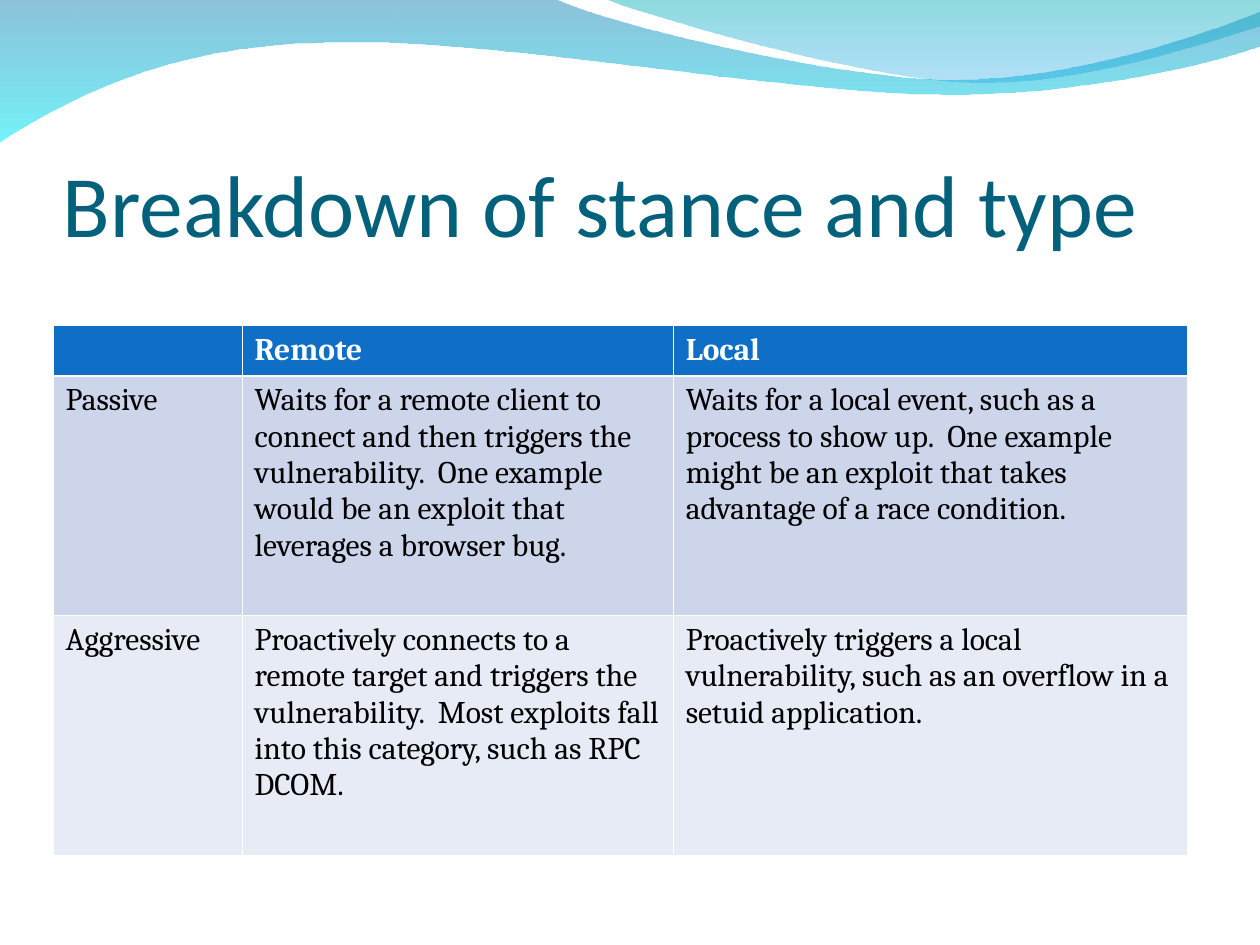
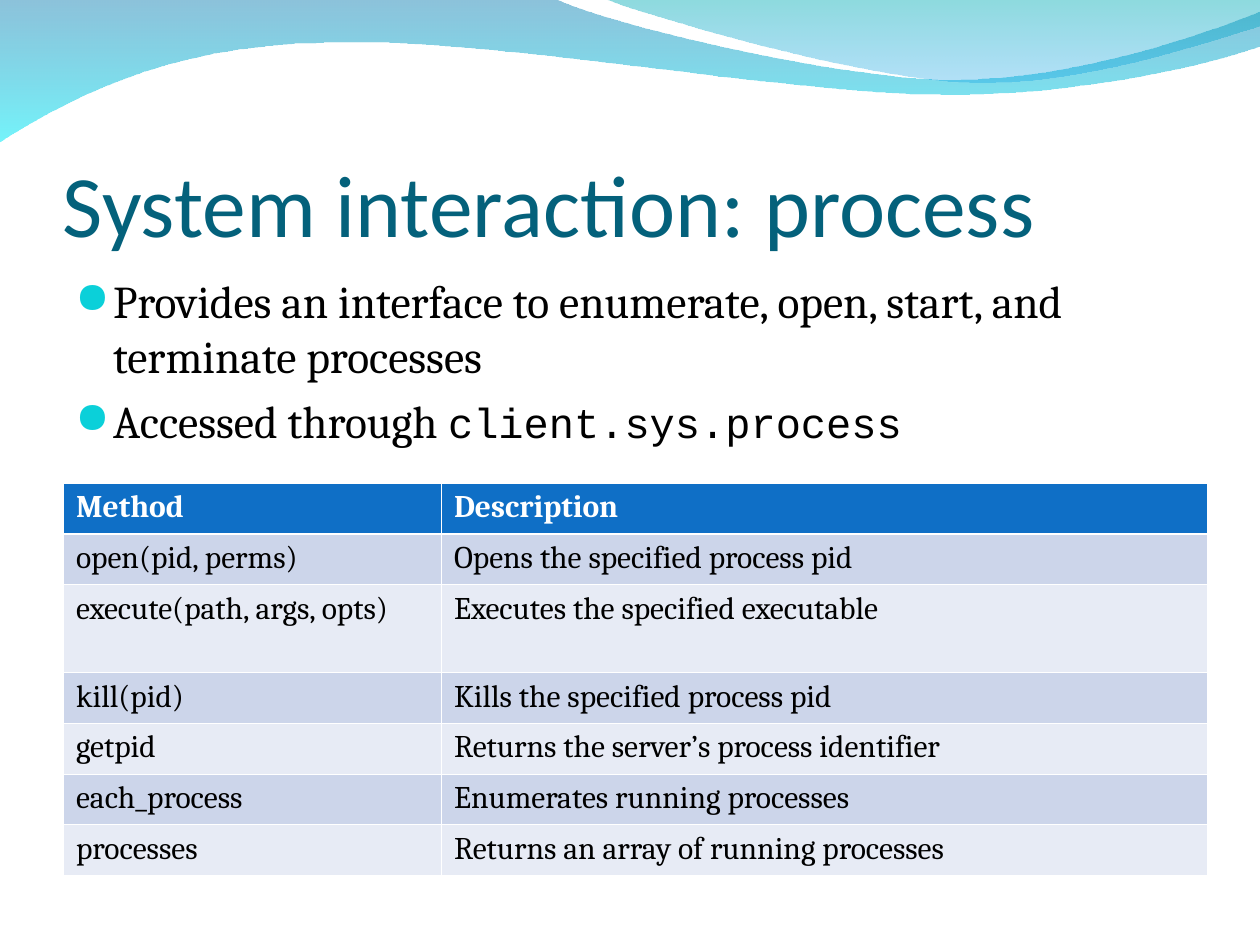
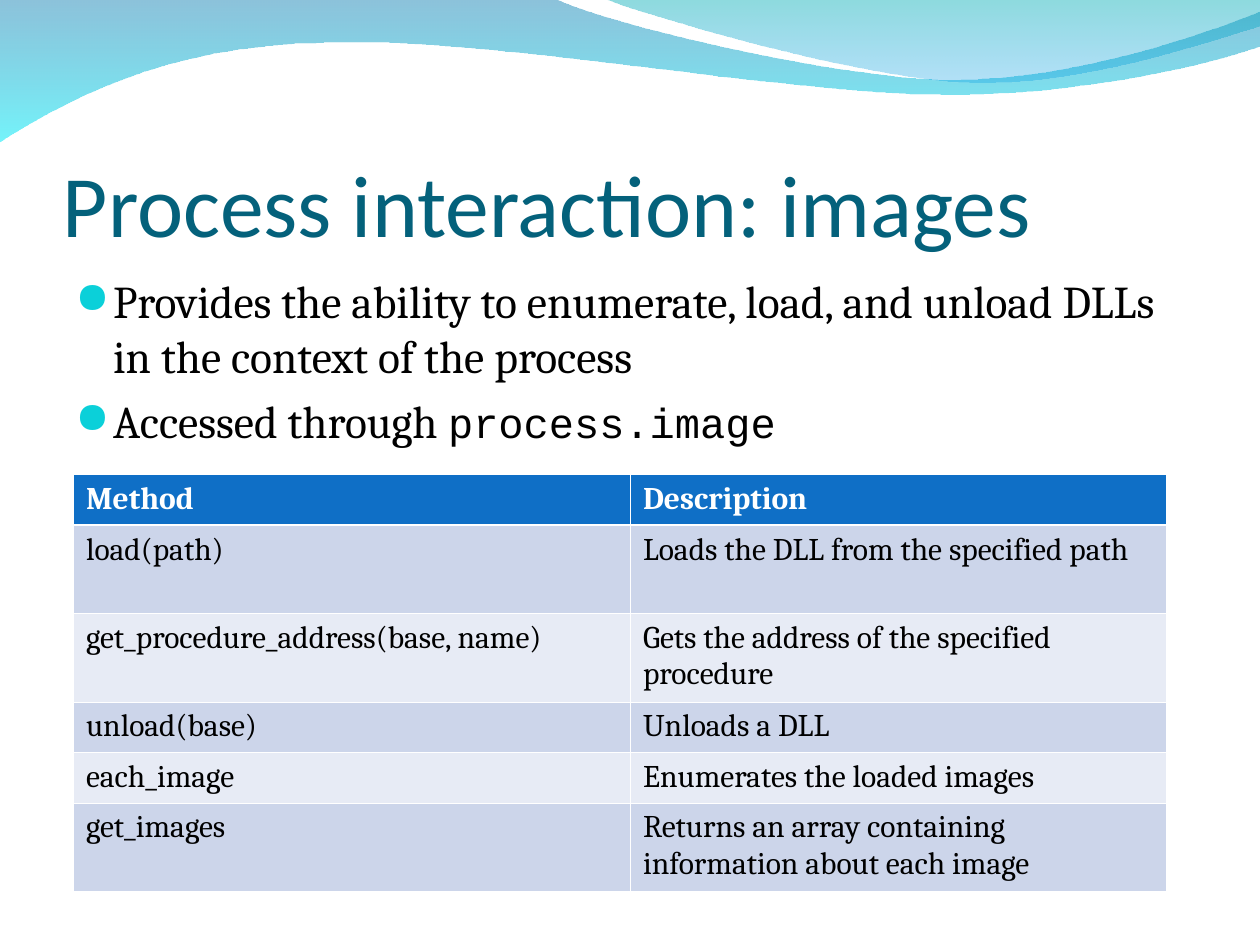
import pptx
import pptx.util
import pptx.dml.color
import pptx.enum.text
import pptx.oxml.ns
import lxml.etree

Cm = pptx.util.Cm
Pt = pptx.util.Pt
qn = pptx.oxml.ns.qn

COLORS = {
    "title": "04617B", "text": "000000", "white": "FFFFFF", "bullet": "0BD0D9",
    "header": "0F6FC6", "odd_row": "CCD5EA", "even_row": "E7EBF5",
    "wave_blue": "0079AF", "wave_cyan": "00EBF8",
    "crest_teal": "00ADB6", "crest_blue": "009BE5",
}
TITLE_FONT, BODY_FONT, CODE_FONT = "Calibri", "Cambria", "Courier New"
CURVE_STEPS = 16
THIN, THICK = Pt(0.45), Pt(1.47)
SHORT, TALL = 1.02, 1.78

WAVES = [
    {
        "start": (0, -0.03),
        "segments": [
            [(11.18, -0.03)],
            [(12.09, 0.43), (16.87, 1.6), (19.25, 1.6)],
            [(21.67, 1.6), (24.33, 0.66), (25.4, 0.23)],
            [(25.43, 0.91)],
            [(24.97, 1.12), (22.1, 1.93), (18.95, 1.9)],
            [(15.8, 1.9), (9.7, 0.71), (6.53, 0.86)],
            [(3.28, 0.89), (1.17, 2.11), (-0.03, 2.87)],
        ],
        "stops": [("wave_blue", 45), ("wave_cyan", 55)],
    },
    {
        "start": (12.17, -0.03),
        "segments": [
            [(12.93, 0.28), (17.32, 1.57), (19.53, 1.65)],
            [(21.74, 1.75), (24.41, 0.81), (25.4, 0.53)],
            [(25.4, 0)],
        ],
        "stops": [("crest_teal", 45), ("crest_blue", 30)],
    },
]

PAGES = [
    {
        "title": "Breakdown of stance and type",
        "bullets": [],
        "corner": (1.07, 6.56),
        "columns": [3.81, 8.69, 10.36],
        "heights": [SHORT, 4.83, 4.83],
        "rows": [
            ["", "Remote", "Local"],
            ["Passive",
             "Waits for a remote client to connect and then triggers the vulnerability.  "
             "One example would be an exploit that leverages a browser bug.",
             "Waits for a local event, such as a process to show up.  "
             "One example might be an exploit that takes advantage of a race condition."],
            ["Aggressive",
             "Proactively connects to a remote target and triggers the vulnerability.  "
             "Most exploits fall into this category, such as RPC DCOM.",
             "Proactively triggers a local vulnerability, such as an overflow in a setuid application."],
        ],
    },
    {
        "title": "System interaction: process",
        "bullets": [
            ("Provides an interface to enumerate, open, start, and terminate processes", ""),
            ("Accessed through ", "client.sys.process"),
        ],
        "corner": (1.28, 9.74),
        "columns": [7.62, 15.44],
        "heights": [SHORT, SHORT, TALL, SHORT, SHORT, SHORT, SHORT],
        "rows": [
            ["Method", "Description"],
            ["open(pid, perms)", "Opens the specified process pid"],
            ["execute(path, args, opts)", "Executes the specified executable"],
            ["kill(pid)", "Kills the specified process pid"],
            ["getpid", "Returns the server’s process identifier"],
            ["each_process", "Enumerates running processes"],
            ["processes", "Returns an array of running processes"],
        ],
    },
    {
        "title": "Process interaction: images",
        "bullets": [
            ("Provides the ability to enumerate, load, and unload DLLs in the context of the process", ""),
            ("Accessed through ", "process.image"),
        ],
        "corner": (1.48, 9.57),
        "columns": [11.23, 10.8],
        "heights": [SHORT, TALL, TALL, SHORT, SHORT, TALL],
        "rows": [
            ["Method", "Description"],
            ["load(path)", "Loads the DLL from the specified path"],
            ["get_procedure_address(base, name)", "Gets the address of the specified procedure"],
            ["unload(base)", "Unloads a DLL"],
            ["each_image", "Enumerates the loaded images"],
            ["get_images", "Returns an array containing information about each image"],
        ],
    },
]


def add_span(para, text, font, size, color, bold=False):
    span = para.add_run()
    span.text = text
    span.font.name = font
    span.font.size = Pt(size)
    span.font.bold = bold
    span.font.color.rgb = pptx.dml.color.RGBColor.from_string(COLORS[color])


def trace_wave(start, segments):
    points = [start]
    for segment in segments:
        if len(segment) == 1:
            points += segment
            continue
        corners = [points[-1]] + segment
        for step in range(1, CURVE_STEPS + 1):
            t = step / CURVE_STEPS
            weights = [(1 - t) ** 3, 3 * t * (1 - t) ** 2, 3 * t ** 2 * (1 - t), t ** 3]
            points.append(tuple(
                sum(weight * corner[axis] for weight, corner in zip(weights, corners))
                for axis in (0, 1)
            ))
    return [(Cm(x), Cm(y)) for x, y in points]


deck = pptx.Presentation()
deck.slide_width = Cm(25.4)
deck.slide_height = Cm(19.05)

for page in PAGES:
    slide = deck.slides.add_slide(deck.slide_layouts[6])

    for wave in WAVES:
        points = trace_wave(wave["start"], wave["segments"])
        builder = slide.shapes.build_freeform(*points[0])
        builder.add_line_segments(points[1:], close=True)
        shape = builder.convert_to_shape()
        shape.shadow.inherit = False
        shape.line.fill.background()
        shape.fill.gradient()
        shape.fill.gradient_angle = 270
        for stop, position, (color, opacity) in zip(shape.fill.gradient_stops, (0, 1), wave["stops"]):
            stop.position = position
            stop.color.rgb = pptx.dml.color.RGBColor.from_string(COLORS[color])
        tints = shape.fill._xPr.iter(qn("a:srgbClr"))
        for tint, (color, opacity) in zip(list(tints), wave["stops"]):
            lxml.etree.SubElement(tint, qn("a:alpha"), val=str(opacity * 1000))

    box = slide.shapes.add_textbox(Cm(1.27), Cm(1.96), Cm(22.86), Cm(3.18))
    frame = box.text_frame
    frame.word_wrap = True
    frame.vertical_anchor = pptx.enum.text.MSO_ANCHOR.BOTTOM
    frame.margin_left = frame.margin_right = frame.margin_bottom = 0
    add_span(frame.paragraphs[0], page["title"], TITLE_FONT, 50, "title")

    if page["bullets"]:
        box = slide.shapes.add_textbox(Cm(1.27), Cm(5.38), Cm(22.86), Cm(12.19))
        frame = box.text_frame
        frame.word_wrap = True
        for index, (words, code) in enumerate(page["bullets"]):
            para = frame.add_paragraph() if index else frame.paragraphs[0]
            layout = para._p.get_or_add_pPr()
            layout.set("marL", str(Cm(0.76)))
            layout.set("indent", str(-Cm(0.76)))
            tint = lxml.etree.SubElement(layout, qn("a:buClr"))
            lxml.etree.SubElement(tint, qn("a:srgbClr"), val=COLORS["bullet"])
            lxml.etree.SubElement(layout, qn("a:buSzPct"), val="95000")
            lxml.etree.SubElement(layout, qn("a:buChar"), char="●")
            if index:
                para.space_before = Pt(6)
            add_span(para, words, BODY_FONT, 26, "text")
            if code:
                add_span(para, code, CODE_FONT, 24, "text")

    left, top = page["corner"]
    columns, heights, rows = page["columns"], page["heights"], page["rows"]
    table = slide.shapes.add_table(
        len(rows), len(columns), Cm(left), Cm(top), Cm(sum(columns)), Cm(sum(heights))
    ).table
    table.horz_banding = False
    for column, width in zip(table.columns, columns):
        column.width = Cm(width)
    for row_index, (row, height, texts) in enumerate(zip(table.rows, heights, rows)):
        row.height = Cm(height)
        is_header = row_index == 0
        fill = "header" if is_header else "odd_row" if row_index % 2 else "even_row"
        edges = {
            "a:lnL": THIN, "a:lnR": THIN,
            "a:lnT": THICK if row_index == 1 else THIN,
            "a:lnB": THICK if is_header else THIN,
        }
        for cell, text in zip(row.cells, texts):
            properties = cell._tc.get_or_add_tcPr()
            for edge, width in edges.items():
                line = lxml.etree.SubElement(properties, qn(edge), w=str(width))
                paint = lxml.etree.SubElement(line, qn("a:solidFill"))
                lxml.etree.SubElement(paint, qn("a:srgbClr"), val=COLORS["white"])
            cell.fill.solid()
            cell.fill.fore_color.rgb = pptx.dml.color.RGBColor.from_string(COLORS[fill])
            if text:
                add_span(cell.text_frame.paragraphs[0], text, BODY_FONT, 18,
                         "white" if is_header else "text", is_header)

deck.save("out.pptx")
